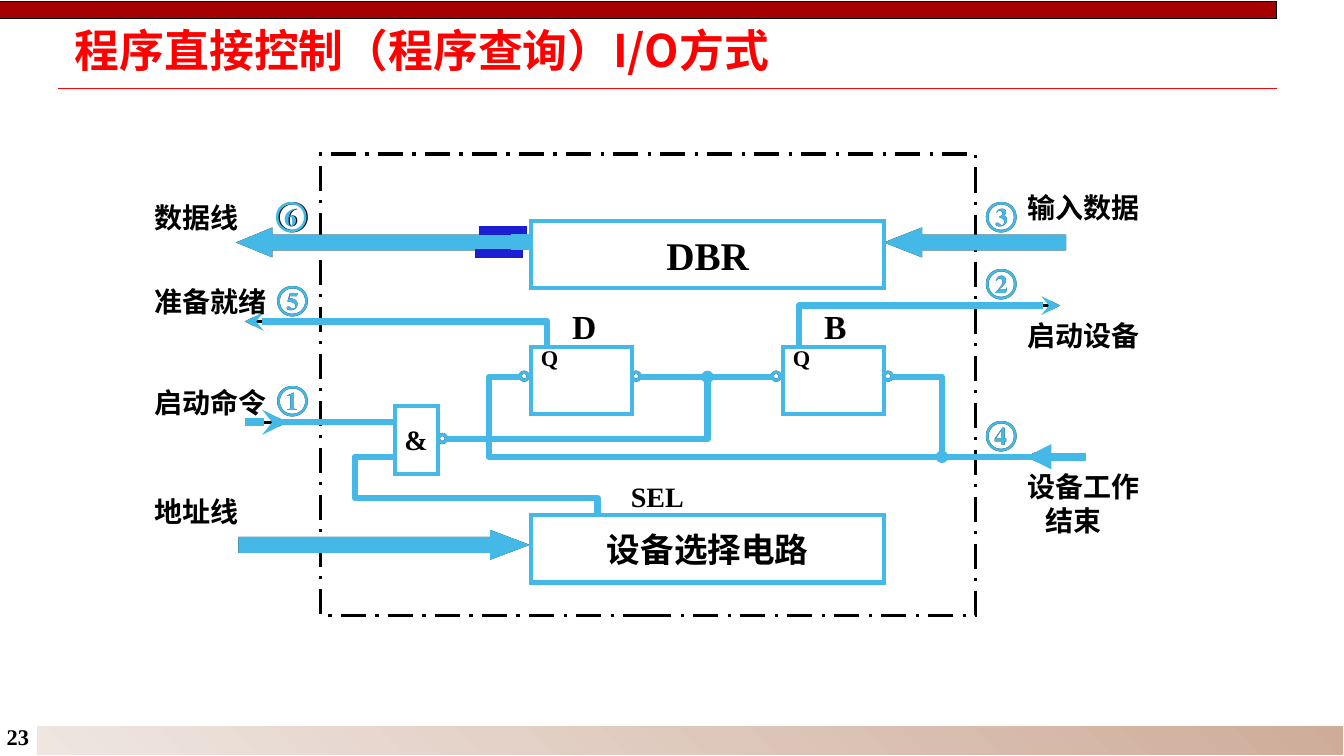
from lxml.etree import SubElement
from pptx import Presentation
from pptx.dml.color import RGBColor
from pptx.enum.dml import MSO_LINE
from pptx.enum.shapes import MSO_CONNECTOR, MSO_SHAPE
from pptx.enum.text import MSO_ANCHOR, MSO_AUTO_SIZE, PP_ALIGN
from pptx.oxml.ns import qn
from pptx.util import Cm, Pt

SERIF, SANS = "Times New Roman", "Noto Sans CJK SC"
BLACK, BLUE, RED = "000000", "44B9E8", "FF0000"
ROW = 1.7  # height of every register and gate
BUBBLE = 0.2
WIRE_Y, DONE_Y, COMMAND_Y = 9.5, 11.51, 10.64


def rgb(value):
    return RGBColor.from_string(value)


def write(frame, text, size=20, color=BLACK, font=SERIF, east_font=SANS,
          align=PP_ALIGN.LEFT, anchor=MSO_ANCHOR.TOP, wrap=False,
          last_indent=0, margins=(0.25, 0.13)):
    """Fill a text frame, one paragraph per line of text."""
    frame.word_wrap = wrap
    frame.vertical_anchor = anchor
    frame.margin_left = frame.margin_right = Cm(margins[0])
    frame.margin_top = frame.margin_bottom = Cm(margins[1])
    for number, line in enumerate(text.split("\n")):
        paragraph = frame.add_paragraph() if number else frame.paragraphs[0]
        paragraph.alignment = align
        if number and last_indent:
            paragraph._p.get_or_add_pPr().set("marL", str(Cm(last_indent)))
        run = paragraph.add_run()
        run.text = line
        run.font.size, run.font.bold = Pt(size), True
        run.font.color.rgb = rgb(color)
        run.font.name = font
        SubElement(run._r.get_or_add_rPr(), qn("a:ea"), typeface=east_font)


class Board:
    """The current slide and the colour in use for its circuit."""

    def __init__(self, slide):
        self.shapes = slide.shapes
        self.color = BLACK

    def stroke(self, shape, width, head=None, tail=None, color=None,
               sharp=False):
        shape.line.color.rgb = rgb(color or self.color)
        shape.line.width = Pt(width)
        ln = shape.element.spPr.find(qn("a:ln"))
        if sharp:
            SubElement(ln, qn("a:miter"), lim="800000")
        for tag, kind in (("a:headEnd", head), ("a:tailEnd", tail)):
            if kind:
                end = SubElement(ln, qn(tag), type=kind)
                if kind == "oval":
                    end.set("w", "sm")
                    end.set("len", "sm")

    def title(self, text, at):
        holder = self.shapes.title
        holder.left, holder.top, holder.width, holder.height = map(Cm, at)
        write(holder.text_frame, text, size=32, color=RED, font=SANS,
              anchor=MSO_ANCHOR.MIDDLE, wrap=True, margins=(0.18, 0.08))
        holder.text_frame.paragraphs[0].line_spacing = 0.87

    def shape(self, at, kind=MSO_SHAPE.RECTANGLE, fill=None, width=3,
              color=None, adjust=()):
        shape = self.shapes.add_shape(kind, *map(Cm, at))
        shape.shadow.inherit = False
        if fill:
            shape.fill.solid()
            shape.fill.fore_color.rgb = rgb(fill)
        else:
            shape.fill.background()
        for index, value in enumerate(adjust):
            shape.adjustments[index] = value
        self.stroke(shape, width, color=color, sharp=True)
        return shape

    def label(self, text, at, **style):
        box = self.shapes.add_textbox(*map(Cm, at))
        write(box.text_frame, text, **style)
        box.text_frame.auto_size = MSO_AUTO_SIZE.SHAPE_TO_FIT_TEXT

    def wire(self, points, width, head=None, tail=None, color=None):
        points = [(Cm(x), Cm(y)) for x, y in points]
        if len(points) == 2:
            line = self.shapes.add_connector(
                MSO_CONNECTOR.STRAIGHT, *points[0], *points[1])
            SubElement(line.element.spPr, qn("a:effectLst"))
        else:
            builder = self.shapes.build_freeform(*points[0])
            builder.add_line_segments(points[1:], close=False)
            line = builder.convert_to_shape()
            line.fill.background()
            line.shadow.inherit = False
        self.stroke(line, width, head, tail, color)


REGISTERS = {
    "select": (13.39, 12.98, 8.89, ROW), "DBR": (13.39, 5.56, 8.89, ROW),
    "D": (13.39, 8.74, 2.54, ROW), "B": (19.74, 8.74, 2.54, ROW),
    "and": (9.96, 10.24, 1.07, ROW),
}
BUBBLES = [(x, 9.38) for x in (13.11, 15.93, 19.46, 22.28)] + [(11.05, 10.95)]
WIRES = [  # points, head, tail
    ([(16.1, WIRE_Y), (19.46, WIRE_Y)], None, None),
    ([(17.83, WIRE_Y), (17.83, 11.07), (11.25, 11.07)], "oval", None),
    ([(13.16, WIRE_Y), (12.32, WIRE_Y), (12.32, DONE_Y), (26.09, DONE_Y)],
     None, None),
    ([(23.74, DONE_Y), (23.74, WIRE_Y), (22.5, WIRE_Y)], "oval", None),
    ([(9.98, DONE_Y), (8.94, DONE_Y), (8.94, 12.55), (15.06, 12.55),
      (15.06, 12.98)], None, None),
    ([(7.04, COMMAND_Y), (9.98, COMMAND_Y)], None, None),
    ([(13.79, 8.74), (13.79, 8.1), (6.17, 8.1)], None, "stealth"),
    ([(20.14, 8.71), (20.14, 7.7), (26.72, 7.7)], None, "stealth"),
]
BUSES = [
    (MSO_SHAPE.RIGHT_ARROW, (6.05, 13.41, 7.19, 0.64), 1.326),
    (MSO_SHAPE.LEFT_RIGHT_ARROW, (6.05, 5.79, 7.19, 0.64), 1.215),
    (MSO_SHAPE.LEFT_ARROW, (22.38, 5.79, 4.45, 0.64), 1.278),
]
STEPS = {"①": (6.73, 9.37), "②": (24.59, 6.42), "③": (24.59, 4.74),
         "④": (24.59, 10.24), "⑤": (6.73, 6.84), "⑥": (6.73, 4.74)}
LABELS = [  # text, left, top, width, height, size
    ("数据线", 3.64, 4.93, 2.62, 1.09, 20),
    ("准备就绪", 3.64, 7.04, 3.33, 1.09, 20),
    ("启动命令", 3.64, 9.58, 3.33, 1.09, 20),
    ("地址线", 3.64, 12.34, 2.62, 1.09, 20),
    ("输入数据", 25.65, 4.67, 3.33, 1.09, 20),
    ("启动设备", 25.65, 7.9, 3.33, 1.09, 20),
    ("设备工作\n结束", 25.65, 11.71, 3.33, 1.96, 20),
    ("SEL", 15.65, 11.96, 1.85, 1.09, 20),
    ("&", 9.94, 10.52, 1.09, 1.09, 20),
    ("Q", 13.38, 8.54, 0.97, 0.94, 16),
    ("Q", 19.73, 8.54, 0.97, 0.94, 16),
    ("D", 14.17, 7.59, 1.12, 1.27, 24),
    ("B", 20.52, 7.59, 1.07, 1.27, 24),
]


def draw_circuit(board, color, wire, stub, done_start, shift):
    """Draw one layer of the circuit: base in black, highlight in blue."""
    board.color = color
    for at in REGISTERS.values():
        board.shape(at)
    for points, head, tail in WIRES:
        board.wire(points, wire, head, tail)
    board.wire([(6.17, COMMAND_Y), (7.24, COMMAND_Y)], stub, tail="stealth")
    board.wire([(done_start, DONE_Y), (25.86, DONE_Y)], stub, tail="triangle")
    for x, y in BUBBLES:
        board.shape((x, y, BUBBLE, BUBBLE), MSO_SHAPE.OVAL, width=2.25)
    for kind, at, head_length in BUSES:
        board.shape(at, kind, color, 2.25, adjust=(0.5, head_length))
    for step, (x, y) in STEPS.items():
        left = x - shift if step == "⑥" else x
        board.label(step, (left, y, 1.37, 1.27), size=24, color=color,
                    east_font=SERIF)


def main():
    deck = Presentation()
    deck.slide_width, deck.slide_height = Cm(33.87), Cm(19.05)
    board = Board(deck.slides.add_slide(deck.slide_layouts[5]))

    # Page frame
    board.wire([(1.45, 2.23), (32.18, 2.23)], 1, color=RED)
    footer = board.shape((0.91, 18.29, 32.96, 0.76), width=0.75, color="FFFFFF")
    footer.fill.gradient()
    footer.fill.gradient_angle = 225
    for stop, shade in zip(footer.fill.gradient_stops, ("CEAC99", "EFE6E1")):
        stop.color.rgb = rgb(shade)
    board.label("23", (0.17, 18.21, 0.8, 0.7), size=16, wrap=True,
                margins=(0, 0))
    board.shape((0, 0.03, 32.18, 0.43), fill="A40000", width=0.75)
    board.title(" 程序直接控制（程序查询）I/O方式", (1.45, 0.69, 30.53, 1.32))

    # Interface boundary and circuit layers
    frame = board.shape((8.08, 3.88, 16.51, 11.63), width=2.25)
    frame.line.dash_style = MSO_LINE.LONG_DASH_DOT
    draw_circuit(board, BLACK, wire=2.25, stub=2.25, done_start=26.72, shift=0)
    draw_circuit(board, BLUE, wire=4.5, stub=6, done_start=27.36, shift=0.03)

    # Covers that join the data bus to the DBR
    for x, y in ((12.09, 5.72), (11.99, 6.3)):
        board.shape((x, y, 1.19, 0.18), fill="1B1ED3", width=0.75, color="1B1ECB")
    board.shape((12.88, 5.92, 0.46, 0.38), fill=BLUE, width=0.75)

    # Names
    for text, *at, size in LABELS:
        board.label(text, at, size=size, last_indent=0.46)
    for name, text, size in (("select", "设备选择电路", 24), ("DBR", "DBR", 28)):
        board.label(text, REGISTERS[name], size=size, align=PP_ALIGN.CENTER,
                    anchor=MSO_ANCHOR.MIDDLE)

    deck.save("out.pptx")


if __name__ == "__main__":
    main()
